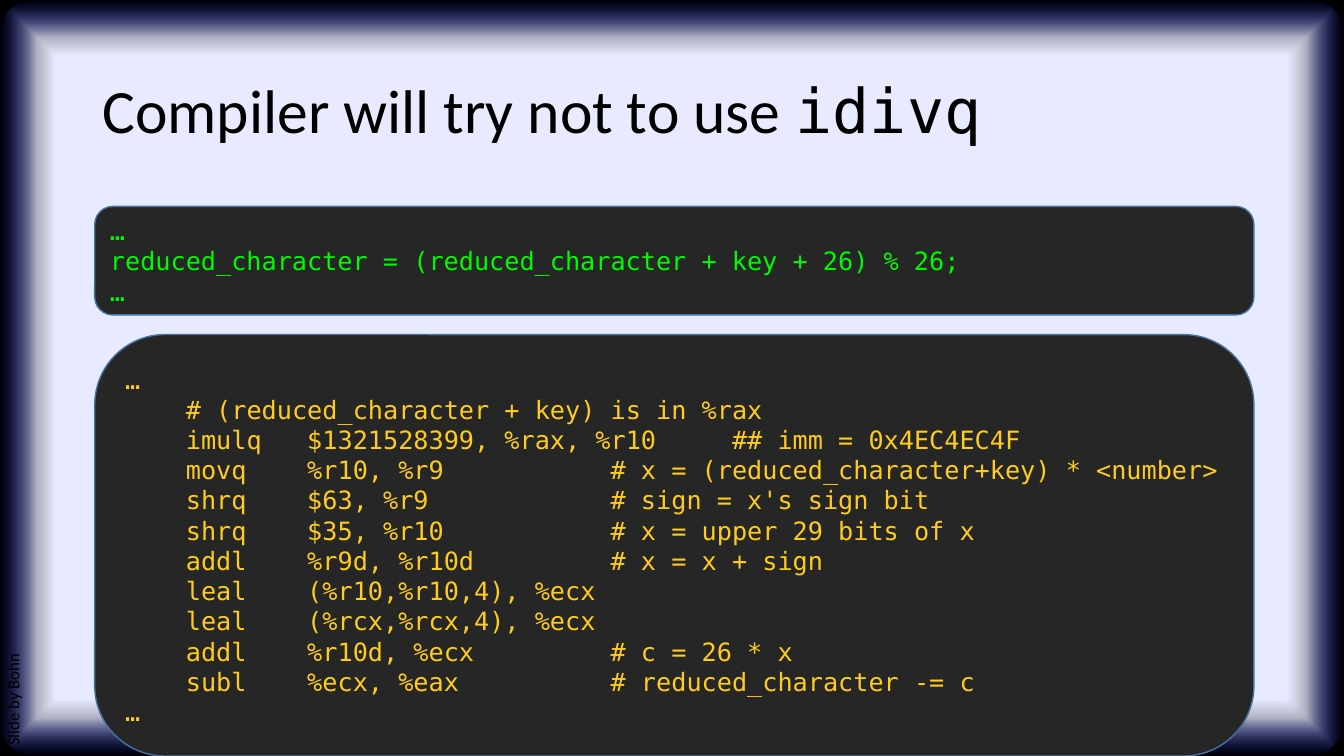
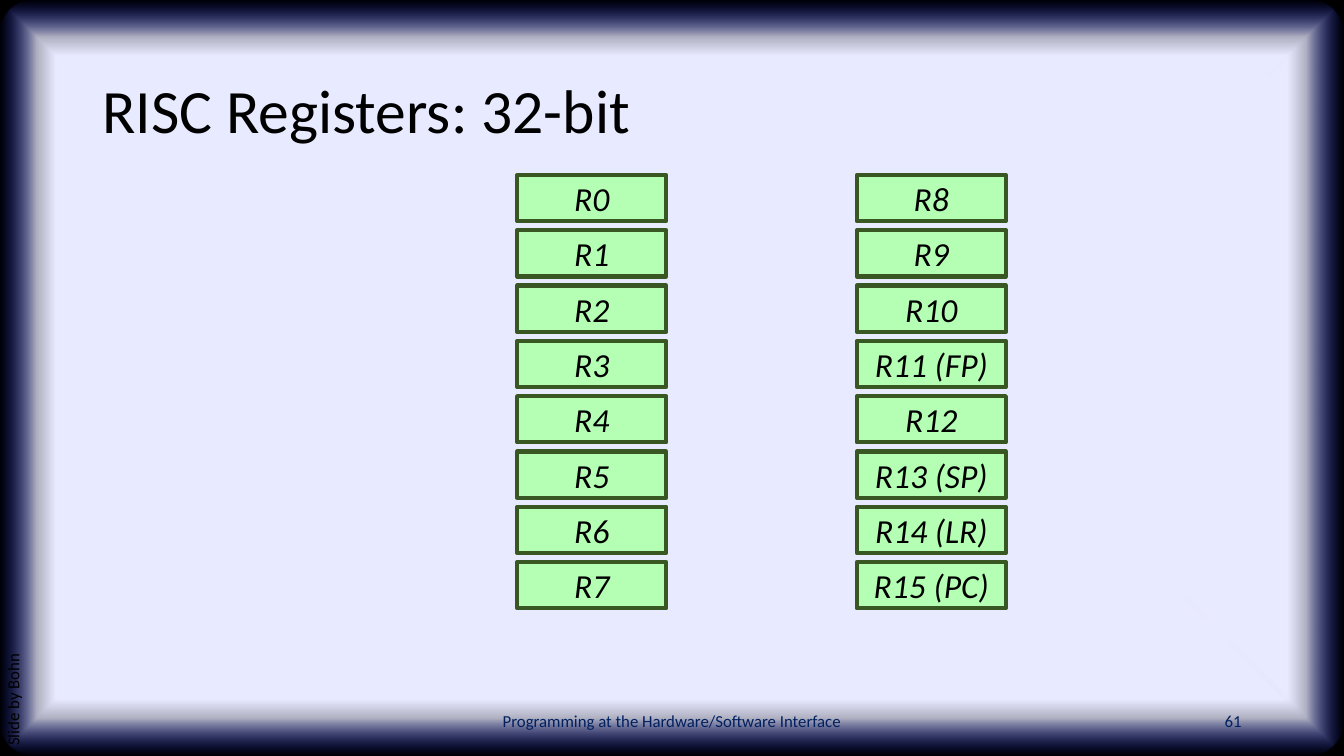
from lxml import etree
from pptx import Presentation
from pptx.dml.color import RGBColor
from pptx.enum.shapes import MSO_SHAPE as Shape
from pptx.enum.text import MSO_ANCHOR as Anchor, MSO_AUTO_SIZE as AutoSize, PP_ALIGN as Align
from pptx.util import Pt

WIDTH, HEIGHT = 960, 540
SANS, MONO = "Calibri", "DejaVu Sans Mono"
BLACK, NAVY, CODE_FILL, CODE_LINE = "000000", "002060", "262626", "43739E"
GREEN, GOLD = "00FA00", "FECC1F"
REGISTER_FILL, REGISTER_LINE = "B4FFB4", "385723"
FRAME_GRADIENT = """
<a:gradFill xmlns:a="http://schemas.openxmlformats.org/drawingml/2006/main" rotWithShape="1">
  <a:gsLst>
    <a:gs pos="85000"><a:srgbClr val="E8EAFF"/></a:gs>
    <a:gs pos="90000"><a:srgbClr val="E8EAFF"><a:alpha val="75000"/></a:srgbClr></a:gs>
    <a:gs pos="100000"><a:srgbClr val="162AFF"><a:alpha val="0"/></a:srgbClr></a:gs>
  </a:gsLst>
  <a:path path="shape"><a:fillToRect l="50000" t="50000" r="50000" b="50000"/></a:path>
</a:gradFill>"""

SOURCE_CODE = """…
reduced_character = (reduced_character + key + 26) % 26;
…"""
ASSEMBLY = """…
    # (reduced_character + key) is in %rax
    imulq   $1321528399, %rax, %r10     ## imm = 0x4EC4EC4F
    movq    %r10, %r9           # x = (reduced_character+key) * <number>
    shrq    $63, %r9            # sign = x's sign bit
    shrq    $35, %r10           # x = upper 29 bits of x
    addl    %r9d, %r10d         # x = x + sign
    leal    (%r10,%r10,4), %ecx
    leal    (%rcx,%rcx,4), %ecx
    addl    %r10d, %ecx         # c = 26 * x
    subl    %ecx, %eax          # reduced_character -= c
…"""
SPECIAL_REGISTERS = {11: " (FP)", 13: " (SP)", 14: " (LR)", 15: " (PC)"}


def color(value):
    return RGBColor.from_string(value)


def write(shape, text, size, ink, face=SANS, align=Align.LEFT, anchor=Anchor.MIDDLE, italic=False):
    frame = shape.text_frame
    frame.text = text
    frame.word_wrap = True
    frame.auto_size = AutoSize.NONE
    frame.vertical_anchor = anchor
    for para in frame.paragraphs:
        para.alignment = align
        for span in para.runs:
            span.font.name = face
            span.font.size = Pt(size)
            span.font.italic = italic
            span.font.color.rgb = color(ink)
    return frame.paragraphs[0]


deck = Presentation()
deck.slide_width, deck.slide_height = Pt(WIDTH), Pt(HEIGHT)

pages, headings = [], []
for heading in ["Compiler will try not to use ", "RISC Registers: 32-bit"]:
    page = deck.slides.add_slide(deck.slide_layouts[5])
    page.background.fill.solid()
    page.background.fill.fore_color.rgb = color(BLACK)

    title = page.shapes.title
    title.left, title.top, title.width, title.height = Pt(66), Pt(28.8), Pt(828), Pt(104.4)
    para = write(title, heading, 44, BLACK)
    para.line_spacing = 0.9

    glow = page.shapes.add_shape(Shape.ROUNDED_RECTANGLE, 0, 0, Pt(WIDTH), Pt(HEIGHT))
    glow.adjustments[0] = 0.048
    glow.shadow.inherit = False
    glow.line.fill.background()
    glow.element.spPr.insert(2, etree.fromstring(FRAME_GRADIENT))
    title.element.addprevious(glow.element)

    credit = page.shapes.add_textbox(Pt(-175.7), Pt(335.5), Pt(380), Pt(28.8))
    credit.rotation = 270
    write(credit, "Slide by Bohn", 12, BLACK, anchor=Anchor.TOP).line_spacing = 0.9

    pages.append(page)
    headings.append(para)

compiler_page, register_page = pages

instruction = headings[0].add_run()
instruction.text = "idivq"
instruction.font.name = MONO
instruction.font.size = Pt(44)
instruction.font.color.rgb = color(BLACK)

for top, height, code, ink in [(147.5, 77.5, SOURCE_CODE, GREEN), (239, 301, ASSEMBLY, GOLD)]:
    box = compiler_page.shapes.add_shape(
        Shape.ROUNDED_RECTANGLE, Pt(67.7), Pt(top), Pt(828), Pt(height))
    box.shadow.inherit = False
    box.fill.solid()
    box.fill.fore_color.rgb = color(CODE_FILL)
    box.line.color.rgb = color(CODE_LINE)
    box.line.width = Pt(1)
    write(box, code, 18, ink, MONO)

for left, width, text, align in [
    (318, 324, "Programming at the Hardware/Software Interface", Align.CENTER),
    (678, 216, "61", Align.RIGHT),
]:
    footer = register_page.shapes.add_textbox(Pt(left), Pt(500.5), Pt(width), Pt(28.8))
    write(footer, text, 12, NAVY, align=align)

for number in range(16):
    column, row = divmod(number, 8)
    box = register_page.shapes.add_shape(
        Shape.RECTANGLE, Pt(369.4 + 242.6 * column), Pt(125 + 39.5 * row), Pt(106.5), Pt(33))
    box.shadow.inherit = False
    box.fill.solid()
    box.fill.fore_color.rgb = color(REGISTER_FILL)
    box.line.color.rgb = color(REGISTER_LINE)
    box.line.width = Pt(3)
    name = f"R{number}{SPECIAL_REGISTERS.get(number, '')}"
    write(box, name, 24, BLACK, align=Align.CENTER, italic=True)

deck.save("out.pptx")
